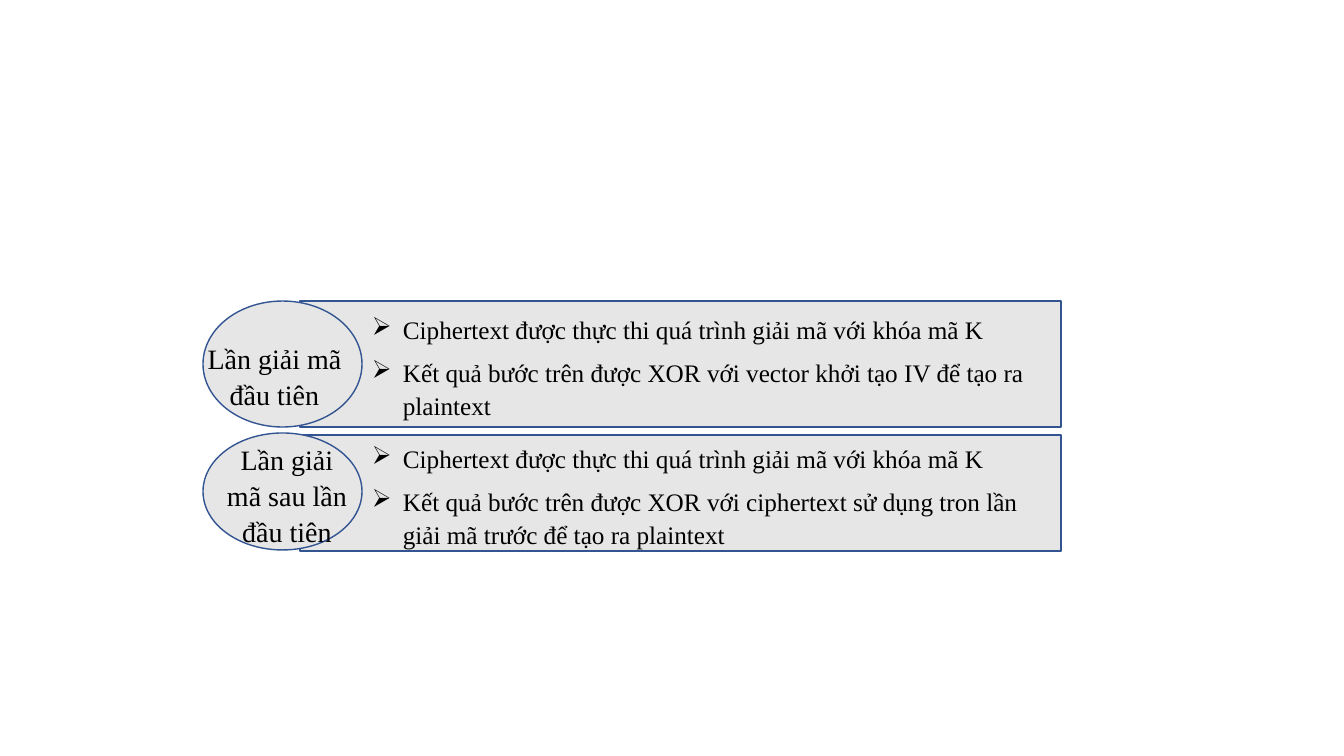
from lxml import etree
from pptx import Presentation
from pptx import util as u
from pptx.dml.color import RGBColor
from pptx.enum import shapes, text
from pptx.oxml.ns import qn

SCALE = 914400 / 100.8
COLORS = {"panel": "E7E6E6", "outline": "325491", "ink": "000000"}


def write(frame, content, size, align=None, bullet=None, indent=0):
    for index, line in enumerate(content):
        para = frame.paragraphs[0] if index == 0 else frame.add_paragraph()
        para.alignment = align
        para.line_spacing = 1.07
        para.space_after = u.Pt(8)
        span = para.add_run()
        span.text = line
        span.font.name = "Times New Roman"
        span.font.size = u.Pt(size)
        span.font.color.rgb = RGBColor.from_string(COLORS["ink"])
        if bullet:
            properties = para._p.get_or_add_pPr()
            properties.set("marL", str(round(indent * SCALE)))
            properties.set("indent", str(round(-indent * SCALE)))
            etree.SubElement(properties, qn("a:buChar")).set("char", bullet)


class Painter:
    def __init__(self, page):
        self.page = page

    def place(self, area):
        return [round(length * SCALE) for length in area]

    def panel(self, preset, area):
        shape = self.page.shapes.add_shape(preset, *self.place(area))
        shape.shadow.inherit = False
        shape.fill.solid()
        shape.fill.fore_color.rgb = RGBColor.from_string(COLORS["panel"])
        shape.line.color.rgb = RGBColor.from_string(COLORS["outline"])
        shape.line.width = u.Pt(1)

    def words(self, area, content, **style):
        box = self.page.shapes.add_textbox(*self.place(area))
        box.text_frame.word_wrap = True
        write(box.text_frame, content, **style)

    def stage(self, bar, oval, label_area, label, list_area, steps):
        self.panel(shapes.MSO_SHAPE.RECTANGLE, bar)
        self.panel(shapes.MSO_SHAPE.OVAL, oval)
        self.words(label_area, [label], size=20, align=text.PP_ALIGN.CENTER)
        self.words(list_area, steps, size=18, bullet="➢", indent=31)


deck = Presentation()
deck.slide_width = round(1344 * SCALE)
deck.slide_height = round(756 * SCALE)
painter = Painter(deck.slides.add_slide(deck.slide_layouts[6]))

decrypt = "Ciphertext được thực thi quá trình giải mã với khóa mã K"
painter.stage(
    bar=(300, 301, 761, 126),
    oval=(203, 301, 159, 126),
    label_area=(188, 334, 173, 81),
    label="Lần giải mã đầu tiên",
    list_area=(362, 307, 717, 117),
    steps=[decrypt, "Kết quả bước trên được XOR với vector khởi tạo IV để tạo ra plaintext"],
)
painter.stage(
    bar=(300, 435, 761, 116),
    oval=(203, 433, 159, 117),
    label_area=(212, 435, 150, 117),
    label="Lần giải mã sau lần đầu tiên",
    list_area=(362, 436, 700, 117),
    steps=[decrypt, "Kết quả bước trên được XOR với ciphertext sử dụng tron lần "
                    "giải mã trước để tạo ra plaintext"],
)
deck.save("out.pptx")
